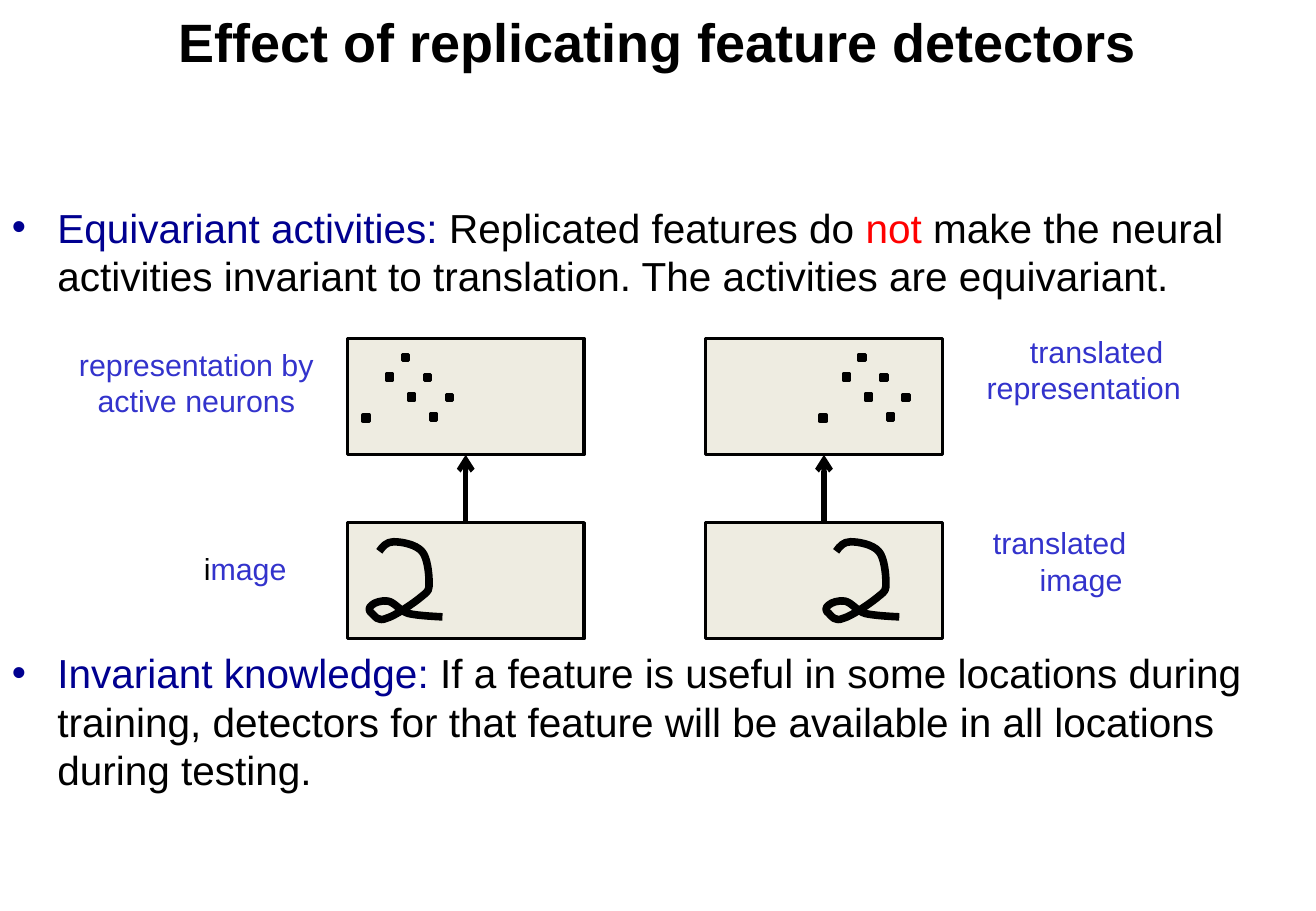
from dataclasses import dataclass

import lxml.etree
import pptx
import pptx.dml.color
import pptx.enum.shapes
import pptx.enum.text
import pptx.oxml.ns
import pptx.util

Cm = pptx.util.Cm
Pt = pptx.util.Pt
RGBColor = pptx.dml.color.RGBColor
ALIGN = pptx.enum.text.PP_ALIGN
ANCHOR = pptx.enum.text.MSO_ANCHOR
qn = pptx.oxml.ns.qn

BLACK = RGBColor(0x00, 0x00, 0x00)
RED = RGBColor(0xFF, 0x00, 0x00)
NAVY = RGBColor(0x00, 0x00, 0x90)
LABEL_BLUE = RGBColor(0x33, 0x33, 0xCC)
PANEL_FILL = RGBColor(0xEE, 0xEC, 0xE1)

FONT = "Arial"
PANEL_WIDTH, PANEL_HEIGHT = 4.95, 2.43
NEURON_TOP, IMAGE_TOP = 7.08, 10.93
NEURON_SIZE = 0.13
BULLET_INDENT = 0.95

# Active neurons: two diagonals of three and one on its own
NEURONS = [
    *((8.08 + 0.46 * step, 7.82 + 0.42 * step) for step in range(3)),
    *((8.41 + 0.46 * step, 7.41 + 0.42 * step) for step in range(3)),
    (7.59, 8.68),
]

# Handwritten 2: a start point, then three Bezier points for each curve
DIGIT_LEFT, DIGIT_TOP = 7.70, 11.33
DIGIT = [
    (0.23, 0.20),
    (0.30, 0.10), (0.38, 0), (0.53, 0),
    (0.69, 0), (0.99, 0.05), (1.12, 0.20),
    (1.24, 0.33), (1.27, 0.69), (1.27, 0.84),
    (1.27, 1.02), (1.27, 1.02), (1.12, 1.14),
    (0.97, 1.27), (0.56, 1.55), (0.38, 1.60),
    (0.20, 1.68), (0.13, 1.55), (0.08, 1.50),
    (0, 1.45), (0, 1.37), (0.08, 1.32),
    (0.13, 1.27), (0.28, 1.22), (0.41, 1.24),
    (0.56, 1.27), (0.66, 1.45), (0.84, 1.50),
    (1.04, 1.55), (1.55, 1.57), (1.55, 1.57),
]


@dataclass
class Column:
    panel_left: float
    pattern_shift: float


@dataclass
class Span:
    text: str
    color: RGBColor


@dataclass
class Line:
    spans: list[Span]
    left_indent: float = 0
    right_indent: float = 0
    space_before: float = 0


@dataclass
class TextBlock:
    box: tuple[float, float, float, float]
    lines: list[Line]
    size: float = 18
    bold: bool = False
    bulleted: bool = False
    insets: tuple[float, float] = (0.3, 0.15)
    anchor: ANCHOR = ANCHOR.TOP


COLUMNS = [Column(7.26, 0), Column(14.75, 9.55)]

TEXTS = [
    TextBlock((1.37, 0.01, 24.77, 1.68),
              [Line([Span("Effect of replicating feature detectors", BLACK)])],
              size=32, bold=True, insets=(0.25, 0.13), anchor=ANCHOR.MIDDLE),
    TextBlock((0, 4.11, 26.97, 14.57), [
        Line([Span("Equivariant activities: ", NAVY),
              Span("Replicated features do ", BLACK),
              Span("not", RED),
              Span(" make the neural activities invariant to translation. "
                   "The activities are equivariant.", BLACK)]),
        Line([Span("Invariant knowledge: ", NAVY),
              Span("If a feature is useful in some locations during training, "
                   "detectors for that feature will be available in all "
                   "locations during testing.", BLACK)], space_before=206.5),
    ], size=24, bulleted=True, insets=(0.25, 0.13)),
    TextBlock((1.17, 7.09, 5.87, 1.83),
              [Line([Span("representation by active neurons", LABEL_BLUE)])]),
    TextBlock((3.87, 11.35, 2.51, 1.07),
              [Line([Span("i", BLACK), Span("mage", LABEL_BLUE)])]),
    TextBlock((20.13, 6.81, 5.05, 1.83),
              [Line([Span("translated", LABEL_BLUE)], left_indent=0.54),
               Line([Span("representation", LABEL_BLUE)])]),
    TextBlock((19.95, 10.82, 5.3, 1.83),
              [Line([Span("translated", LABEL_BLUE)], right_indent=0.9),
               Line([Span("image", LABEL_BLUE)])]),
]


def add_rectangle(shapes, left: float, top: float, width: float, height: float,
                  fill: RGBColor) -> None:
    shape = shapes.add_shape(pptx.enum.shapes.MSO_SHAPE.RECTANGLE,
                             Cm(left), Cm(top), Cm(width), Cm(height))
    shape.shadow.inherit = False
    shape.fill.solid()
    shape.fill.fore_color.rgb = fill
    shape.line.color.rgb = BLACK
    shape.line.width = Pt(2)


def add_up_arrow(shapes, x: float, bottom: float, top: float) -> None:
    connector = shapes.add_connector(pptx.enum.shapes.MSO_CONNECTOR.STRAIGHT,
                                     Cm(x), Cm(bottom), Cm(x), Cm(top))
    connector.line.color.rgb = BLACK
    connector.line.width = Pt(3)
    lxml.etree.SubElement(connector.line._get_or_add_ln(), qn("a:tailEnd"), type="arrow")
    lxml.etree.SubElement(connector._element.spPr, qn("a:effectLst"))


def add_digit(shapes, shift: float) -> None:
    """Draw the outline through all points, then group them into Bezier curves."""
    start, *points = [(Cm(DIGIT_LEFT + shift + x), Cm(DIGIT_TOP + y)) for x, y in DIGIT]
    builder = shapes.build_freeform(*start)
    builder.add_line_segments(points, close=False)
    shape = builder.convert_to_shape()
    shape.shadow.inherit = False
    shape.fill.background()
    shape.line.color.rgb = BLACK
    shape.line.width = Pt(4.5)
    segments = list(shape._element.iter(qn("a:lnTo")))
    outline = segments[0].getparent()
    for first in range(0, len(segments), 3):
        curve = lxml.etree.SubElement(outline, qn("a:cubicBezTo"))
        for segment in segments[first:first + 3]:
            curve.append(segment[0])
            outline.remove(segment)


def add_column(shapes, column: Column) -> None:
    for top in (IMAGE_TOP, NEURON_TOP):
        add_rectangle(shapes, column.panel_left, top, PANEL_WIDTH, PANEL_HEIGHT, PANEL_FILL)
    add_up_arrow(shapes, column.panel_left + PANEL_WIDTH / 2,
                 IMAGE_TOP, NEURON_TOP + PANEL_HEIGHT)
    add_digit(shapes, column.pattern_shift)
    for left, top in NEURONS:
        add_rectangle(shapes, left + column.pattern_shift, top,
                      NEURON_SIZE, NEURON_SIZE, BLACK)


def add_text(shapes, block: TextBlock) -> None:
    text_frame = shapes.add_textbox(*map(Cm, block.box)).text_frame
    text_frame.word_wrap = True
    text_frame.vertical_anchor = block.anchor
    text_frame.margin_left = text_frame.margin_right = Cm(block.insets[0])
    text_frame.margin_top = text_frame.margin_bottom = Cm(block.insets[1])
    for index, line in enumerate(block.lines):
        paragraph = text_frame.add_paragraph() if index else text_frame.paragraphs[0]
        paragraph.alignment = ALIGN.LEFT if block.bulleted else ALIGN.CENTER
        paragraph.space_before = Pt(line.space_before)
        properties = paragraph._p.get_or_add_pPr()
        properties.set("marL", str(Cm(line.left_indent)))
        properties.set("marR", str(Cm(line.right_indent)))
        if block.bulleted:
            properties.set("marL", str(Cm(BULLET_INDENT)))
            properties.set("indent", str(-Cm(BULLET_INDENT)))
            lxml.etree.SubElement(properties, qn("a:buFont"), typeface=FONT)
            lxml.etree.SubElement(properties, qn("a:buChar"), char="•")
        for span in line.spans:
            run = paragraph.add_run()
            run.text = span.text
            run.font.name = FONT
            run.font.size = Pt(block.size)
            run.font.bold = block.bold
            run.font.color.rgb = span.color


def main() -> None:
    presentation = pptx.Presentation()
    presentation.slide_width, presentation.slide_height = Cm(27.51), Cm(19.05)
    slide = presentation.slides.add_slide(presentation.slide_layouts[6])
    for column in COLUMNS:
        add_column(slide.shapes, column)
    for block in TEXTS:
        add_text(slide.shapes, block)
    presentation.save("out.pptx")


if __name__ == "__main__":
    main()
